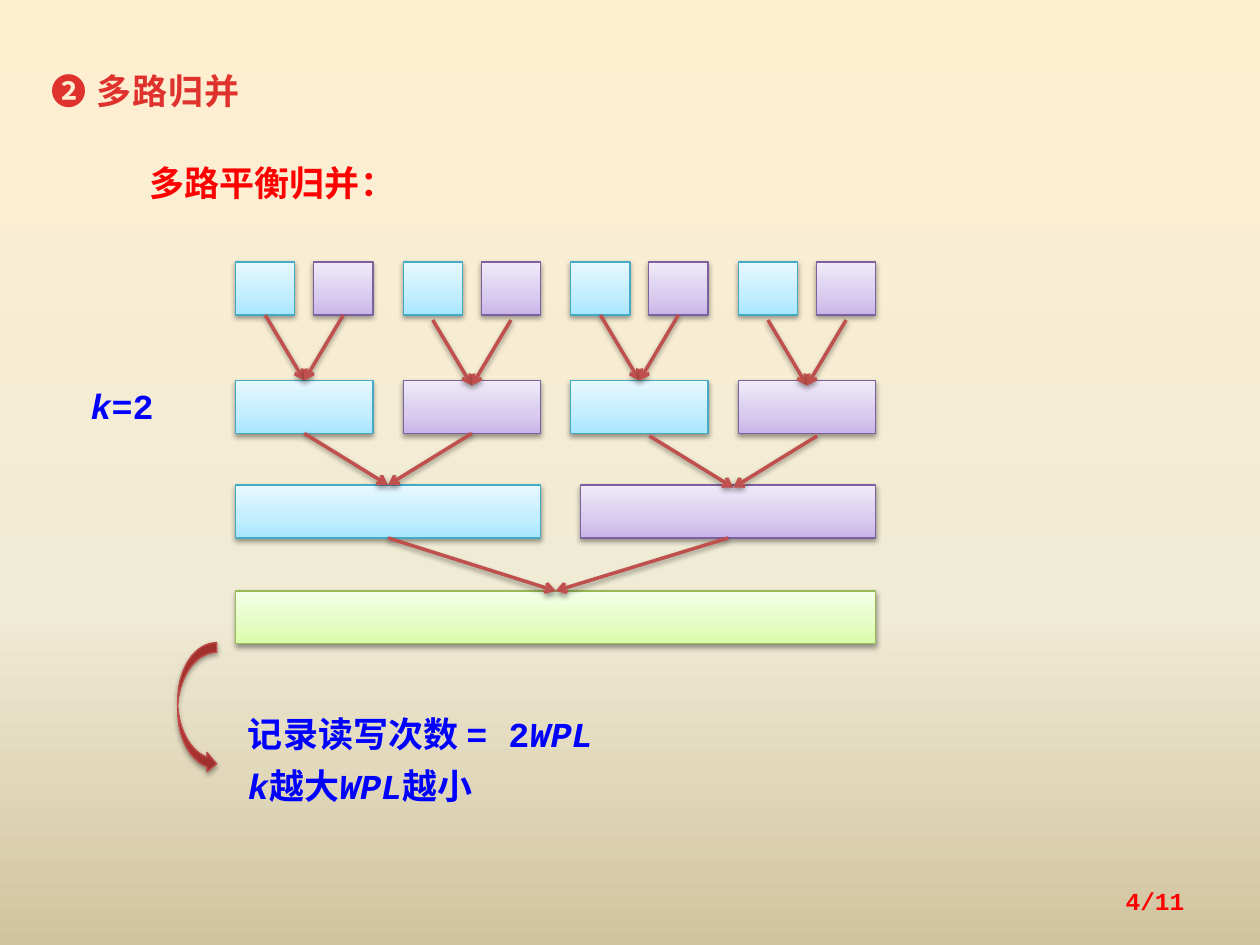
from lxml import etree
from pptx import Presentation
from pptx.dml.color import RGBColor
from pptx.enum.shapes import MSO_CONNECTOR, MSO_SHAPE
from pptx.enum.text import MSO_ANCHOR, MSO_AUTO_SIZE, PP_ALIGN
from pptx.oxml.ns import qn
from pptx.util import Inches, Pt

RECT = MSO_SHAPE.RECTANGLE
CURVED_ARROW = MSO_SHAPE.CURVED_RIGHT_ARROW
STRAIGHT = MSO_CONNECTOR.STRAIGHT

LATIN, CJK = "Courier New", "Noto Sans CJK SC"
RED = RGBColor(0xFF, 0x00, 0x00)
TITLE_RED = RGBColor(0xE0, 0x32, 0x2D)
BLUE = RGBColor(0x00, 0x00, 0xFF)
ARROW_RED = RGBColor(0xC0, 0x50, 0x4D)

# Each style: gradient stops (percent, colour) and outline colour
BACKGROUND = [(0, "FFEFD1"), (65, "F0EBD5"), (100, "D1C39F")]
CYAN = ([(0, "A7E6FF"), (35, "C1EDFF"), (100, "E7F8FF")], RGBColor(0x46, 0xAA, 0xC5))
PURPLE = ([(0, "C9B5E8"), (35, "D8CBEE"), (100, "F0EAF9")], RGBColor(0x7D, 0x60, 0xA0))
GREEN = ([(0, "DAFDA7"), (35, "E4FCC2"), (100, "F5FFE7")], RGBColor(0x98, 0xB9, 0x55))
BRICK = ([(0, "9C2F2D"), (80, "CB3E3A"), (100, "CE3B37")], RGBColor(0xBF, 0x4C, 0x48))

BLOCK_H = 0.42


def child(parent, tag, **attrs):
    return etree.SubElement(parent, qn(tag), {k: str(v) for k, v in attrs.items()})


def set_gradient(fill, root, stops, angle):
    fill.gradient()
    fill.gradient_angle = angle
    stop_list = next(root.iter(qn("a:gsLst")))
    for stop in list(stop_list):
        stop_list.remove(stop)
    for percent, colour in stops:
        child(child(stop_list, "a:gs", pos=percent * 1000), "a:srgbClr", val=colour)


def add_shadow(spPr):
    effects = spPr.find(qn("a:effectLst"))
    if effects is None:
        effects = child(spPr, "a:effectLst")
    shadow = child(effects, "a:outerShdw", blurRad=Pt(3.1), dist=Pt(1.6),
                   dir=5400000, rotWithShape=0)
    child(child(shadow, "a:srgbClr", val="000000"), "a:alpha", val=38000)


def add_block(slide, shape_type, box, style):
    stops, outline = style
    sp = slide.shapes.add_shape(shape_type, *map(Inches, box))
    set_gradient(sp.fill, sp.element, stops, 90)
    sp.line.color.rgb = outline
    sp.line.width = Pt(0.75)
    sp.shadow.inherit = False
    add_shadow(sp.element.spPr)


def add_arrow(slide, start, end):
    line = slide.shapes.add_connector(STRAIGHT, *map(Inches, start + end))
    line.line.color.rgb = ARROW_RED
    line.line.width = Pt(2)
    child(line.line._get_or_add_ln(), "a:tailEnd", type="arrow")
    add_shadow(line.element.spPr)


def add_text(slide, box, paragraphs, colour, size=20, font=LATIN):
    """Each paragraph is a list of (text, italic) runs."""
    tb = slide.shapes.add_textbox(*map(Inches, box))
    tf = tb.text_frame
    tf.word_wrap = True
    for i, runs in enumerate(paragraphs):
        p = tf.add_paragraph() if i else tf.paragraphs[0]
        p.line_spacing = Pt(30)
        for text, italic in runs:
            r = p.add_run()
            r.text = text
            r.font.size = Pt(size)
            r.font.name = font
            r.font.bold = True
            r.font.italic = italic
            r.font.color.rgb = colour
            child(r.font._element, "a:ea", typeface=CJK)
    tf.auto_size = MSO_AUTO_SIZE.SHAPE_TO_FIT_TEXT
    return tf


def add_merge(slide, box, sources, source_y, style, dx=0, dy=0):
    """A merged block with one arrow from each source; dx, dy shift the arrows."""
    left, top, width, _ = box
    add_block(slide, RECT, box, style)
    tip = (left + width / 2 + dx / 2, top + dy)
    for x in sources:
        add_arrow(slide, (x + dx, source_y + dy), tip)


def add_merge_tree(slide, left, top):
    leaf_w, leaf_step, pair_w, pair_step = 0.47, 0.62, 1.09, 1.33
    pair_y, quad_y, final_y = top + 0.94, top + 1.77, top + 2.61
    pairs = [left + i * pair_step for i in range(4)]
    centres = [x + pair_w / 2 for x in pairs]

    # Initial runs and the first merge
    for i, x in enumerate(pairs):
        for j, style in enumerate((CYAN, PURPLE)):
            add_block(slide, RECT, (x + j * leaf_step, top, leaf_w, BLOCK_H), style)
        leaves = [x + j * leaf_step + leaf_w / 2 for j in range(2)]
        add_merge(slide, (x, pair_y, pair_w, BLOCK_H), leaves, top + BLOCK_H,
                  (CYAN, PURPLE)[i % 2], dy=0.04 * (i % 2))

    # Second merge
    quads = [(left, quad_y, 2.42, BLOCK_H), (left + 2.74, quad_y, 2.34, BLOCK_H)]
    add_merge(slide, quads[0], centres[:2], pair_y + BLOCK_H, CYAN)
    add_merge(slide, quads[1], centres[2:], pair_y + BLOCK_H, PURPLE, dx=0.08, dy=0.02)

    # Final merge
    add_merge(slide, (left, final_y, 5.08, BLOCK_H), [x + w / 2 for x, _, w, _ in quads],
              quad_y + BLOCK_H, GREEN)


def add_conclusion(slide, left, top):
    add_block(slide, CURVED_ARROW, (left, top, 0.31, 1.04), BRICK)
    add_text(slide, (left + 0.46, top + 0.42, 3.36, 0.9),
             [[("记录读写次数 = 2", False), ("WPL", True)],
              [("k", True), ("越大", False), ("WPL", True), ("越小", False)]], BLUE)


def add_page_number(slide, box):
    tf = add_text(slide, box, [[("4/11", False)]], RED, size=14)
    tf.auto_size = MSO_AUTO_SIZE.NONE
    tf.vertical_anchor = MSO_ANCHOR.MIDDLE
    p = tf.paragraphs[0]
    p.alignment = PP_ALIGN.RIGHT
    p.line_spacing = None


prs = Presentation()
prs.slide_width, prs.slide_height = Inches(10), Inches(7.5)
slide = prs.slides.add_slide(prs.slide_layouts[6])
set_gradient(slide.background.fill, slide.element, BACKGROUND, 270)

# Headings
title = add_text(slide, (0.31, 0.42, 2.66, 0.52), [[("❷ 多路归并", False)]], TITLE_RED)
title.paragraphs[0].runs[0].font._element.set("spc", "50")
add_text(slide, (1.09, 1.15, 2.34, 0.48), [[("多路平衡归并：", False)]], RED, font=CJK)

# Merge diagram
add_merge_tree(slide, 1.87, 2.08)
add_text(slide, (0.62, 2.92, 0.78, 0.49), [[("k", True), ("=2", False)]], BLUE)

# Conclusion and page number
add_conclusion(slide, 1.41, 5.1)
add_page_number(slide, (7.17, 6.95, 2.33, 0.4))

prs.save("out.pptx")
